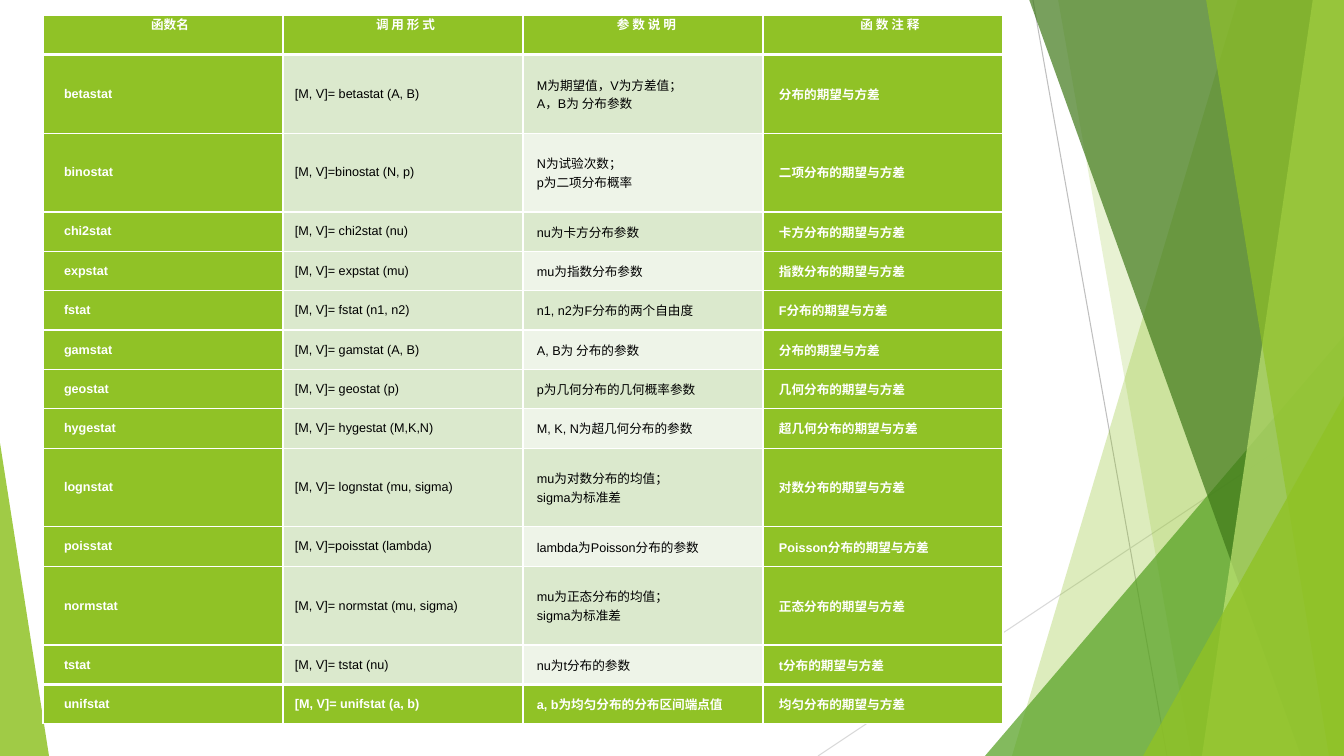
from pptx import Presentation
from pptx.dml.color import RGBColor
from pptx.enum.shapes import MSO_CONNECTOR, MSO_SHAPE
from pptx.enum.text import MSO_ANCHOR, PP_ALIGN
from pptx.oxml.ns import qn
from pptx.util import Pt
from lxml.etree import SubElement

PX = 914400 / 100.8
WIDE, HIGH = 1344, 756

WHITE = RGBColor(0xFF, 0xFF, 0xFF)
BLACK = RGBColor(0, 0, 0)
LIME = RGBColor(0x90, 0xC2, 0x26)
GREEN = RGBColor(0x54, 0xA0, 0x21)
DARK = RGBColor(0x3F, 0x78, 0x19)
LIGHT = RGBColor(0xC0, 0xE4, 0x74)
MINT = RGBColor(0xDB, 0xE9, 0xCD)
PALE = RGBColor(0xEE, 0xF4, 0xE8)
GREY = RGBColor(0xBF, 0xBF, 0xBF)
SILVER = RGBColor(0xD9, 0xD9, 0xD9)


def px(n):
    return round(n * PX)


def paint(shape, color, alpha):
    shape.shadow.inherit = False
    shape.line.fill.background()
    shape.fill.solid()
    shape.fill.fore_color.rgb = color
    tint = shape.fill._xPr.find(qn("a:solidFill"))[0]
    SubElement(tint, qn("a:alpha"), val=str(alpha * 1000))


deck = Presentation()
deck.slide_width, deck.slide_height = px(WIDE), px(HIGH)
slide = deck.slides.add_slide(deck.slide_layouts[6])
shapes = slide.shapes

# Thin lines behind the facets
for x1, y1, x2, y2, color in [
    (1033, 0, 1167, HIGH, GREY),
    (WIDE, 406, 818, HIGH, SILVER),
]:
    line = shapes.add_connector(MSO_CONNECTOR.STRAIGHT, px(x1), px(y1), px(x2), px(y2))
    line.line.color.rgb = color
    line.line.width = Pt(0.75)
    SubElement(line._element.spPr, qn("a:effectLst"))

# Facets: a band runs from top x to foot x and out to the right edge;
# a triangle has left, top, width and the side of its apex
facets = [
    ("band", (1238, 1012), LIME, 30),
    ("band", (1058, 1191), LIME, 20),
    ("peak", (985, 336, 359, 1), GREEN, 72),
    ("band", (1029, 1301), DARK, 70),
    ("band", (1313, 1202), LIGHT, 70),
    ("band", (1206, 1329), LIME, 65),
    ("peak", (1143, 396, 201, 1), LIME, 80),
    ("peak", (0, 443, 49, 0), LIME, 85),
]
for kind, place, color, alpha in facets:
    if kind == "band":
        top, foot = place
        path = shapes.build_freeform(top, -1, scale=PX)
        path.add_line_segments([(WIDE, -1), (WIDE, HIGH), (foot, HIGH)], close=True)
        facet = path.convert_to_shape()
    else:
        left, top, width, apex = place
        facet = shapes.add_shape(MSO_SHAPE.ISOSCELES_TRIANGLE,
                                 px(left), px(top), px(width), px(HIGH - top))
        facet.adjustments[0] = apex
    paint(facet, color, alpha)

# Table of statistics functions
rows = [
    ("函数名", "调 用 形 式", "参 数 说 明", "函 数 注 释"),
    ("betastat", "[M, V]= betastat (A, B)", "M为期望值，V为方差值；\nA，B为 分布参数", "分布的期望与方差"),
    ("binostat", "[M, V]=binostat (N, p)", "N为试验次数；\np为二项分布概率", "二项分布的期望与方差"),
    ("chi2stat", "[M, V]= chi2stat (nu)", "nu为卡方分布参数", "卡方分布的期望与方差"),
    ("expstat", "[M, V]= expstat (mu)", "mu为指数分布参数", "指数分布的期望与方差"),
    ("fstat", "[M, V]= fstat (n1, n2)", "n1, n2为F分布的两个自由度", "F分布的期望与方差"),
    ("gamstat", "[M, V]= gamstat (A, B)", "A, B为 分布的参数", "分布的期望与方差"),
    ("geostat", "[M, V]= geostat (p)", "p为几何分布的几何概率参数", "几何分布的期望与方差"),
    ("hygestat", "[M, V]= hygestat (M,K,N)", "M, K, N为超几何分布的参数", "超几何分布的期望与方差"),
    ("lognstat", "[M, V]= lognstat (mu, sigma)", "mu为对数分布的均值；\nsigma为标准差", "对数分布的期望与方差"),
    ("poisstat", "[M, V]=poisstat (lambda)", "lambda为Poisson分布的参数", "Poisson分布的期望与方差"),
    ("normstat", "[M, V]= normstat (mu, sigma)", "mu为正态分布的均值；\nsigma为标准差", "正态分布的期望与方差"),
    ("tstat", "[M, V]= tstat (nu)", "nu为t分布的参数", "t分布的期望与方差"),
    ("unifstat", "[M, V]= unifstat (a, b)", "a, b为均匀分布的分布区间端点值", "均匀分布的期望与方差"),
]
last = len(rows) - 1
lines = [max(text.count("\n") + 1 for text in row) for row in rows]
unit = 709 / sum(lines)
table = shapes.add_table(len(rows), 4, px(43), px(15), px(960), px(709)).table
table.first_row = table.horz_banding = False
for col in table.columns:
    col.width = px(240)

for r, row in enumerate(rows):
    table.rows[r].height = px(unit * lines[r])
    for c, text in enumerate(row):
        cell = table.cell(r, c)
        cell.margin_left = cell.margin_right = px(7)
        cell.margin_top = cell.margin_bottom = 0
        cell.vertical_anchor = MSO_ANCHOR.TOP if r == 0 else MSO_ANCHOR.MIDDLE

        # Borders: heavy under the header and above the last row
        thick = {"lnL": 1, "lnR": 1, "lnT": 3 if r in (1, last) else 1,
                 "lnB": 3 if r in (0, last - 1) else 1}
        for side, width in thick.items():
            edge = SubElement(cell._tc.get_or_add_tcPr(), qn("a:" + side), w=str(Pt(width)))
            ink = SubElement(edge, qn("a:solidFill"))
            SubElement(ink, qn("a:srgbClr"), val=str(WHITE))

        # Fill: pale centre columns, the third one banded
        plain = 0 < r < last and c in (1, 2)
        cell.fill.solid()
        cell.fill.fore_color.rgb = (
            LIME if not plain else PALE if c == 2 and r % 2 == 0 else MINT)

        # Text
        indent = (14, 5, 7, 14 if r == 0 else 9)[c]
        frame = cell.text_frame
        for n, part in enumerate(text.split("\n")):
            para = frame.add_paragraph() if n else frame.paragraphs[0]
            para.alignment = PP_ALIGN.CENTER if r == 0 else PP_ALIGN.LEFT
            props = para._p.get_or_add_pPr()
            props.set("marL", "0")
            props.set("indent", str(px(indent)))
            run = para.add_run()
            run.text = part
            run.font.name = "Arial"
            run.font.size = Pt(9)
            run.font.bold = not plain
            run.font.color.rgb = BLACK if plain else WHITE

deck.save("out.pptx")
